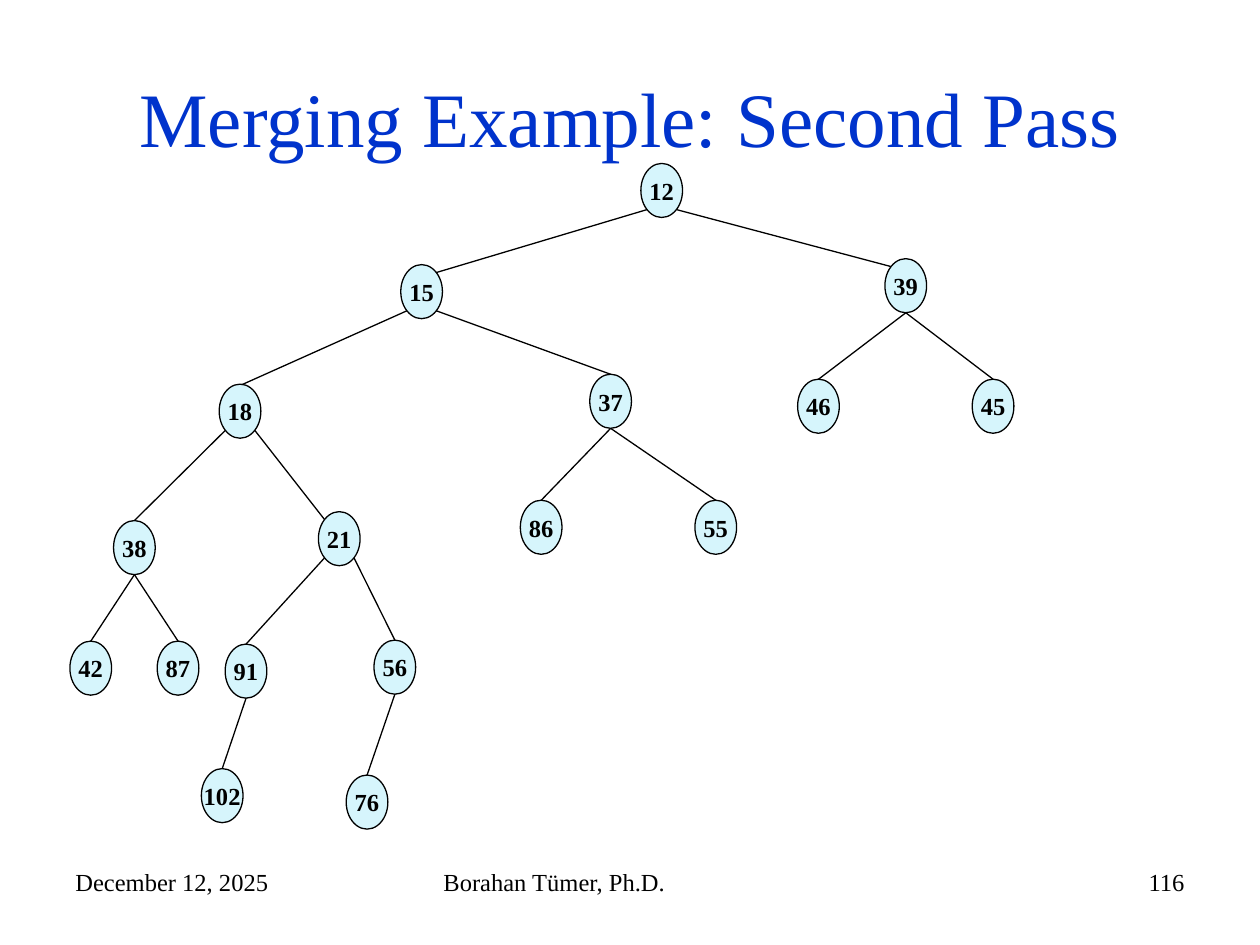
from dataclasses import dataclass
from math import sqrt

from lxml import etree
from pptx import Presentation
from pptx.dml.color import RGBColor
from pptx.enum.shapes import MSO_CONNECTOR, MSO_SHAPE
from pptx.enum.text import MSO_ANCHOR, PP_ALIGN
from pptx.oxml.ns import qn
from pptx.util import Cm, Pt

OVAL = MSO_SHAPE.OVAL
STRAIGHT = MSO_CONNECTOR.STRAIGHT
MIDDLE, TOP = MSO_ANCHOR.MIDDLE, MSO_ANCHOR.TOP
LEFT, CENTER, RIGHT = PP_ALIGN.LEFT, PP_ALIGN.CENTER, PP_ALIGN.RIGHT


@dataclass(frozen=True)
class Theme:
    font: str = "Times New Roman"
    title_color: RGBColor = RGBColor(0x00, 0x33, 0xCC)
    ink: RGBColor = RGBColor(0, 0, 0)
    node_fill: RGBColor = RGBColor(0xD6, 0xF5, 0xFC)
    title_size: int = 44
    body_size: int = 14
    line_width: float = 0.75


# Node size in cm
NODE_W, NODE_H = 0.84, 1.09

# Points on a node's outline, as shares of its half width and half height
DIAG = 1 / sqrt(2)
SITES = {
    "top": (0, -1), "bottom": (0, 1),
    "top left": (-DIAG, -DIAG), "top right": (DIAG, -DIAG),
    "bottom left": (-DIAG, DIAG), "bottom right": (DIAG, DIAG),
}

# Key of each node: centre in cm
NODES = {
    12: (13.34, 3.84),
    15: (8.5, 5.88), 39: (18.26, 5.76),
    18: (4.84, 8.29), 37: (12.31, 8.09), 46: (16.5, 8.19), 45: (20.02, 8.19),
    38: (2.71, 11.04), 21: (6.84, 10.86), 86: (10.91, 10.63), 55: (14.43, 10.63),
    42: (1.83, 13.47), 87: (3.59, 13.47), 91: (4.96, 13.53), 56: (7.96, 13.45),
    102: (4.48, 16.04), 76: (7.4, 16.17),
}

# Parent, its site, child, its site
EDGES = [
    (12, "bottom left", 15, "top right"), (12, "bottom right", 39, "top left"),
    (15, "bottom left", 18, "top left"), (15, "bottom right", 37, "top"),
    (39, "bottom", 46, "top"), (39, "bottom", 45, "top"),
    (18, "bottom left", 38, "top"), (18, "bottom right", 21, "top left"),
    (37, "bottom", 86, "top"), (37, "bottom", 55, "top"),
    (38, "bottom", 42, "top"), (38, "bottom", 87, "top"),
    (21, "bottom left", 91, "top"), (21, "bottom right", 56, "top"),
    (91, "bottom", 102, "top"), (56, "bottom", 76, "top"),
]

# Footer text, left, width in cm, alignment
FOOTER = [
    ("December 12, 2025", 1.27, 5.93, LEFT),
    ("Borahan Tümer, Ph.D.", 8.69, 8.04, LEFT),
    ("116", 18.2, 5.93, RIGHT),
]


def site_point(key, site):
    (x, y), (dx, dy) = NODES[key], SITES[site]
    return Cm(x + dx * NODE_W / 2), Cm(y + dy * NODE_H / 2)


class SlideBuilder:
    def __init__(self, slide, theme):
        self.s = slide
        self.theme = theme

    def set_text(self, tf, text, size, color, align, anchor, bold=False):
        tf.vertical_anchor = anchor
        p = tf.paragraphs[0]
        p.alignment = align
        r = p.add_run()
        r.text = text
        r.font.name = self.theme.font
        r.font.size = Pt(size)
        r.font.bold = bold
        r.font.color.rgb = color

    def title(self, text, left, top, width, height):
        sp = self.s.shapes.title
        sp.left, sp.top, sp.width, sp.height = map(Cm, (left, top, width, height))
        self.set_text(sp.text_frame, text, self.theme.title_size,
                      self.theme.title_color, CENTER, MIDDLE)

    def label(self, text, left, top, width, height, align):
        sp = self.s.shapes.add_textbox(*map(Cm, (left, top, width, height)))
        sp.text_frame.word_wrap = True
        self.set_text(sp.text_frame, text, self.theme.body_size,
                      self.theme.ink, align, TOP)

    def edge(self, start, end):
        line = self.s.shapes.add_connector(STRAIGHT, *start, *end)
        line.line.color.rgb = self.theme.ink
        line.line.width = Pt(self.theme.line_width)
        etree.SubElement(line._element.spPr, qn("a:effectLst"))

    def node(self, text, x, y):
        sp = self.s.shapes.add_shape(OVAL, Cm(x - NODE_W / 2), Cm(y - NODE_H / 2),
                                     Cm(NODE_W), Cm(NODE_H))
        sp.shadow.inherit = False
        sp.fill.solid()
        sp.fill.fore_color.rgb = self.theme.node_fill
        sp.line.color.rgb = self.theme.ink
        sp.line.width = Pt(self.theme.line_width)
        tf = sp.text_frame
        tf.word_wrap = False
        tf.margin_left = tf.margin_right = tf.margin_top = tf.margin_bottom = 0
        self.set_text(tf, text, self.theme.body_size, self.theme.ink,
                      CENTER, MIDDLE, bold=True)


def main():
    prs = Presentation()
    prs.slide_width, prs.slide_height = Cm(25.4), Cm(19.05)
    title_only = prs.slide_layouts[5]
    b = SlideBuilder(prs.slides.add_slide(title_only), Theme())

    # Title
    b.title("Merging Example: Second Pass", 1.27, 0.76, 22.86, 3.18)

    # Tree: edges first, so that the nodes cover their ends
    for parent, parent_site, child, child_site in EDGES:
        b.edge(site_point(parent, parent_site), site_point(child, child_site))
    for key, (x, y) in NODES.items():
        b.node(str(key), x, y)

    # Footer
    for text, left, width, align in FOOTER:
        b.label(text, left, 17.35, width, 1.32, align)

    prs.save("out.pptx")


if __name__ == "__main__":
    main()
